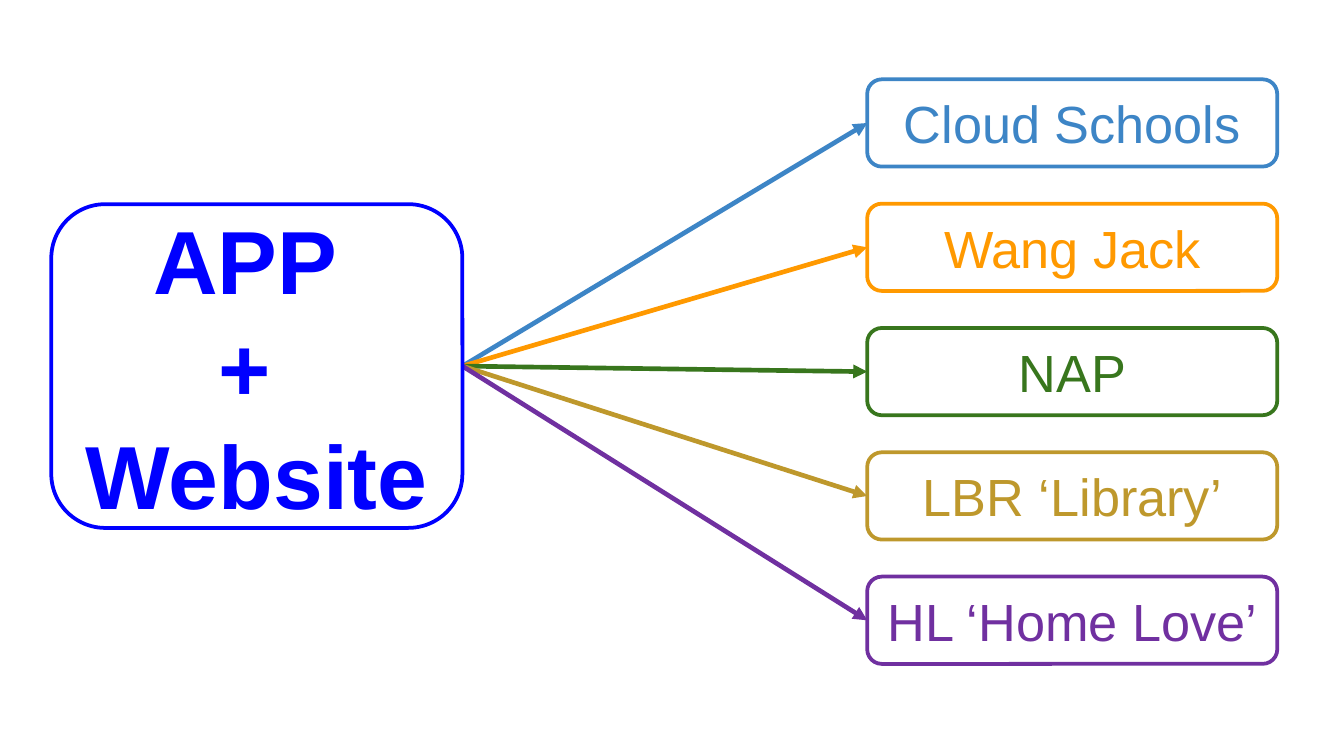
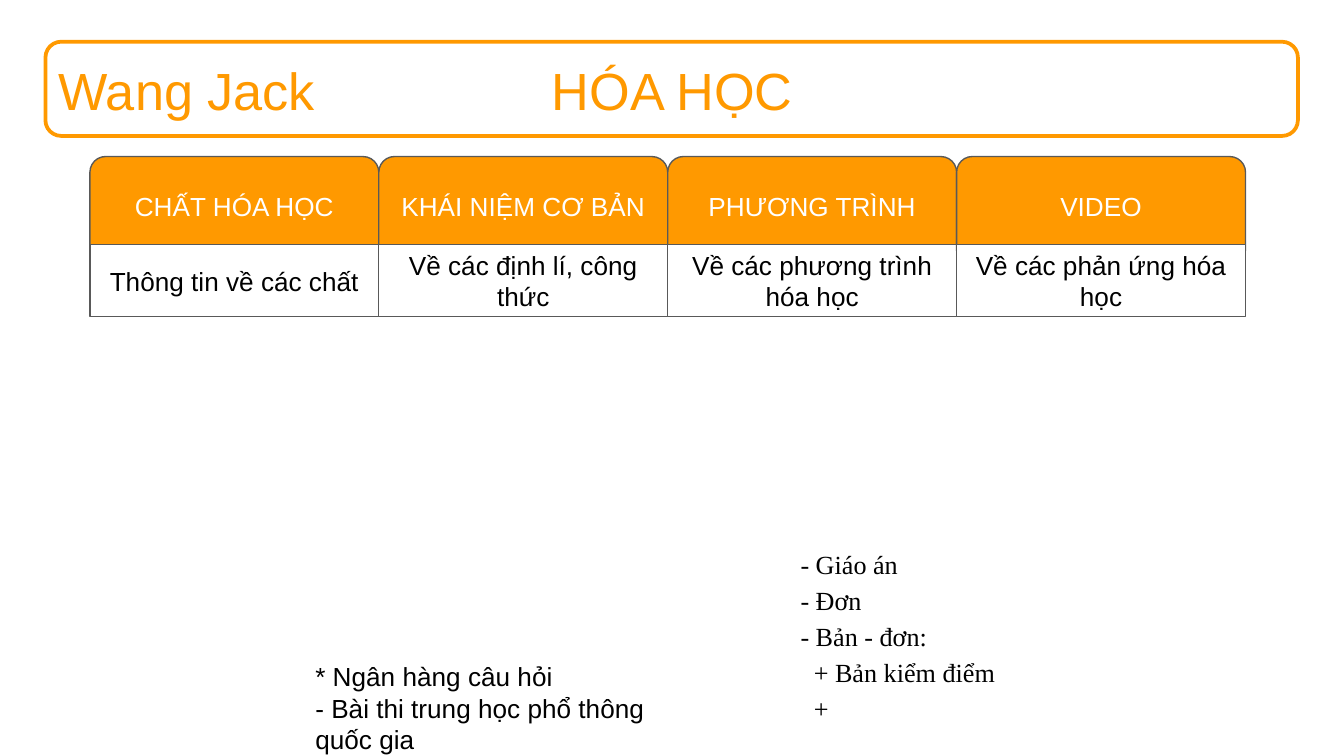
from lxml import etree
from pptx import Presentation
from pptx.dml.color import RGBColor
from pptx.enum.shapes import MSO_CONNECTOR, MSO_SHAPE
from pptx.enum.text import MSO_ANCHOR, PP_ALIGN
from pptx.oxml.ns import qn
from pptx.util import Cm, Pt

ROUND = MSO_SHAPE.ROUNDED_RECTANGLE
TAB = MSO_SHAPE.ROUND_2_SAME_RECTANGLE
RECT = MSO_SHAPE.RECTANGLE
STRAIGHT = MSO_CONNECTOR.STRAIGHT
LEFT, CENTER = PP_ALIGN.LEFT, PP_ALIGN.CENTER
TOP, MIDDLE = MSO_ANCHOR.TOP, MSO_ANCHOR.MIDDLE
SITE_LEFT, SITE_RIGHT = 1, 3

ORANGE, BLUE, GREY = "FF9900", "0000FF", "595959"
BLACK, WHITE = "000000", "FFFFFF"
SANS, SERIF = "Arial", "Times New Roman"
TITLE_SIZE, BODY_SIZE = 28, 14
SLIM, EVEN = 0.13, 0.25

HUB = ["APP ", "+ ", "Website"]
PRODUCTS = [
    ("Cloud Schools", "3D85C6"),
    ("Wang Jack", ORANGE),
    ("NAP", "38761D"),
    ("LBR ‘Library’", "BE982C"),
    ("HL ‘Home Love’", "7030A0"),
]
PRODUCT_NAME, SUBJECT = "Wang Jack", "HÓA HỌC"
SECTIONS = [
    ("CHẤT HÓA HỌC", "Thông tin về các chất"),
    ("KHÁI NIỆM CƠ BẢN", "Về các định lí, công thức"),
    ("PHƯƠNG TRÌNH", "Về các phương trình hóa học"),
    ("VIDEO", "Về các phản ứng hóa học"),
]
DOCUMENTS = [
    ("- Giáo án", 1),
    ("- Đơn", 1),
    ("- Bản - đơn:", 1),
    ("+ Bản kiểm điểm", 2),
    ("+", 2),
]
QUESTIONS = ["* Ngân hàng câu hỏi", "- Bài thi trung học phổ thông quốc gia"]


def color(value):
    return RGBColor.from_string(value)


def write(shape, lines, size, ink, align=CENTER, anchor=MIDDLE, inset=SLIM,
          font=SANS, bold=False, spacing=None):
    frame = shape.text_frame
    frame.word_wrap = True
    frame.vertical_anchor = anchor
    frame.margin_left = frame.margin_right = Cm(0.25)
    frame.margin_top = frame.margin_bottom = Cm(inset)
    for i, line in enumerate(lines):
        text, level = line if isinstance(line, tuple) else (line, 0)
        paragraph = frame.add_paragraph() if i else frame.paragraphs[0]
        paragraph.alignment = align
        if spacing:
            paragraph.line_spacing = spacing
        if level:
            paragraph._p.get_or_add_pPr().set("marL", str(Cm(0.25 * level)))
        run = paragraph.add_run()
        run.text = text
        run.font.name, run.font.size, run.font.bold = font, Pt(size), bold
        run.font.color.rgb = color(ink)


def add_box(shapes, kind, place, line, width, fill=None):
    box = shapes.add_shape(kind, *map(Cm, place))
    box.shadow.inherit = False
    if fill:
        box.fill.solid()
        box.fill.fore_color.rgb = color(fill)
    else:
        box.fill.background()
    box.line.color.rgb = color(line)
    box.line.width = Pt(width)
    return box


def add_text(shapes, place, lines, size, ink, **style):
    write(shapes.add_textbox(*map(Cm, place)), lines, size, ink,
          anchor=TOP, **style)


def add_arrow(shapes, ink):
    arrow = shapes.add_connector(STRAIGHT, 0, 0, 0, 0)
    arrow.line.color.rgb = color(ink)
    arrow.line.width = Pt(2.5)
    etree.SubElement(arrow.line._get_or_add_ln(), qn("a:tailEnd"), type="triangle")
    etree.SubElement(arrow._element.spPr, qn("a:effectLst"))
    return arrow


def build_overview(shapes):
    arrows = [add_arrow(shapes, ink) for _, ink in PRODUCTS]
    hub = add_box(shapes, ROUND, (0.97, 3.86, 7.77, 6.12), BLUE, 2)
    write(hub, HUB, 48, BLUE, bold=True)
    for i, (name, ink) in enumerate(PRODUCTS):
        product = add_box(shapes, ROUND, (16.39, 1.5 + 2.35 * i, 7.75, 1.65), ink, 2)
        write(product, [name], TITLE_SIZE, ink)
        arrows[i].begin_connect(hub, SITE_RIGHT)
        arrows[i].end_connect(product, SITE_LEFT)


def build_subject(shapes):
    banner = shapes.add_group_shape().shapes
    add_box(banner, ROUND, (0.86, 0.79, 23.67, 1.78), ORANGE, 2)
    add_text(banner, (0.86, 0.97, 5.69, 1.45), [PRODUCT_NAME], TITLE_SIZE, ORANGE,
             align=LEFT)
    add_text(shapes, (9.02, 0.97, 7.37, 1.45), [SUBJECT], TITLE_SIZE, ORANGE)
    add_text(shapes, (14.63, 10.03, 9.12, 9.12), DOCUMENTS, BODY_SIZE, BLACK,
             align=LEFT, inset=EVEN, font=SERIF, spacing=1.15)
    add_text(shapes, (5.71, 12.24, 7.26, 6.15), QUESTIONS, BODY_SIZE, BLACK,
             align=LEFT, inset=EVEN)
    column = 5.46
    for i, (heading, detail) in enumerate(SECTIONS):
        left = 1.7 + column * i
        tab = add_box(shapes, TAB, (left, 2.96, column, 1.78), GREY, 0.75, ORANGE)
        write(tab, [heading], BODY_SIZE, WHITE, inset=EVEN)
        cell = add_box(shapes, RECT, (left, 4.62, column, 1.37), GREY, 0.75, WHITE)
        write(cell, [detail], BODY_SIZE, BLACK, inset=EVEN)


def main():
    deck = Presentation()
    deck.slide_width, deck.slide_height = Cm(25.4), Cm(14.29)
    for build in (build_overview, build_subject):
        build(deck.slides.add_slide(deck.slide_layouts[6]).shapes)
    deck.save("out.pptx")


if __name__ == "__main__":
    main()
